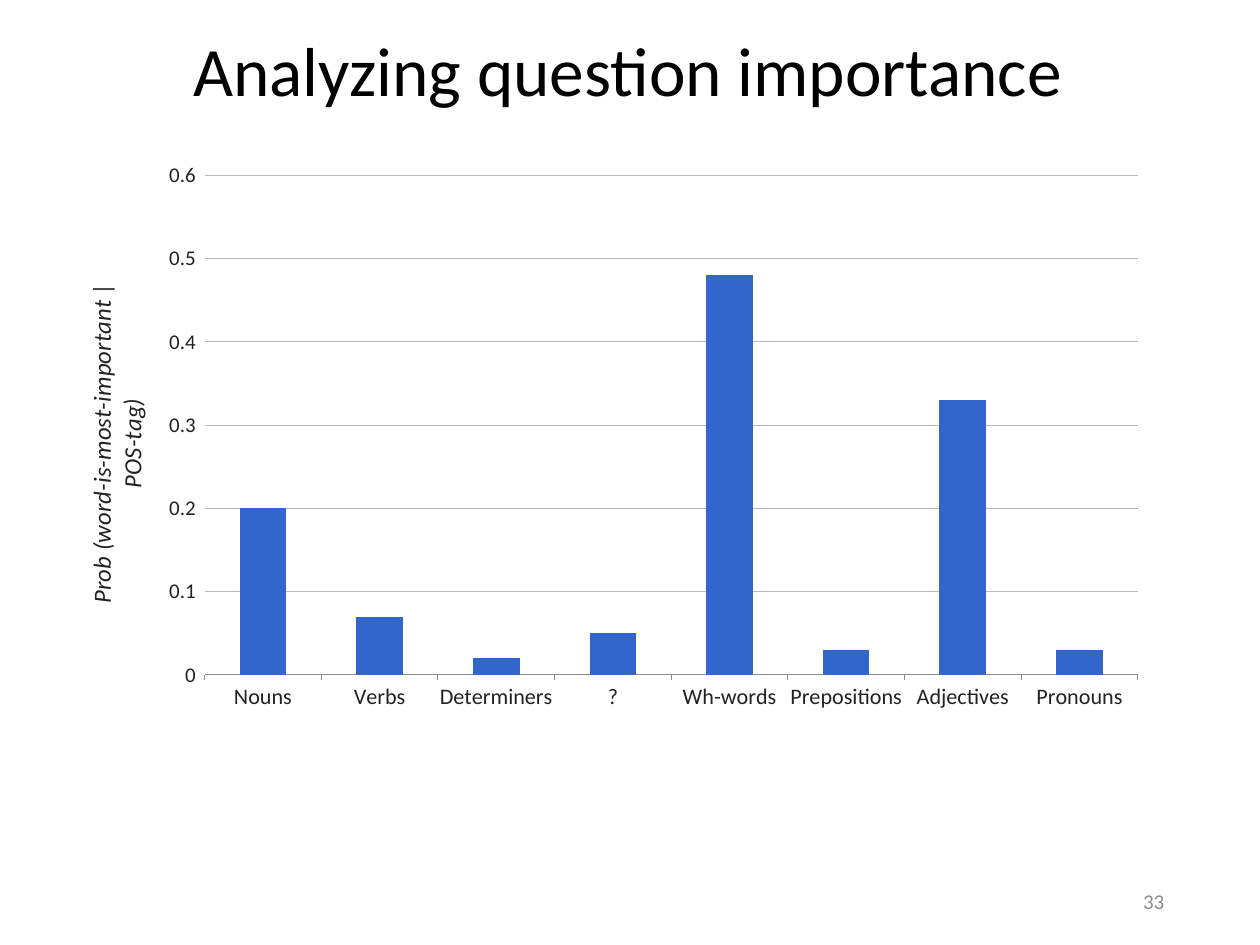
from lxml.etree import SubElement
from pptx import Presentation
from pptx.chart.data import CategoryChartData as Data
from pptx.dml.color import RGBColor as RGB
from pptx.enum.chart import XL_CHART_TYPE as Kind, XL_TICK_MARK as Tick
from pptx.enum.text import MSO_ANCHOR as Anchor, PP_ALIGN as Align
from pptx.oxml.ns import qn
from pptx.util import Pt

PX = 10320
FACE = "Calibri"
BLACK = RGB(0x00, 0x00, 0x00)
DARK = RGB(0x22, 0x22, 0x22)
GRAY = RGB(0x8C, 0x8C, 0x8C)
GRID = RGB(0xB7, 0xB7, 0xB7)
BLUE = RGB(0x33, 0x66, 0xCC)


def style(font, size, color):
    font.name = FACE
    font.size = Pt(size)
    font.color.rgb = color
    font.bold = False


def place(node, index, items):
    for old in node.findall(qn("c:layout")):
        node.remove(old)
    layout = SubElement(node, qn("c:layout"))
    node.insert(index, layout)
    manual = SubElement(layout, qn("c:manualLayout"))
    for tag, val in items:
        SubElement(manual, qn("c:" + tag)).set("val", str(val))


deck = Presentation()
deck.slide_width = 1260 * PX
deck.slide_height = 945 * PX
slide = deck.slides.add_slide(deck.slide_layouts[5])

title = slide.shapes.title
title.left, title.top, title.width, title.height = [n * PX for n in (87, 38, 1081, 72)]
frame = title.text_frame
frame.word_wrap = True
frame.vertical_anchor = Anchor.MIDDLE
para = frame.paragraphs[0]
para.alignment = Align.CENTER
para.line_spacing = 0.9
run = para.add_run()
run.text = "Analyzing question importance"
style(run.font, 56.3, BLACK)

box = slide.shapes.add_textbox(*[n * PX for n in (890, 876, 283, 51)])
frame = box.text_frame
frame.word_wrap = True
frame.vertical_anchor = Anchor.MIDDLE
para = frame.paragraphs[0]
para.alignment = Align.RIGHT
run = para.add_run()
run.text = "33"
style(run.font, 17.1, GRAY)

data = Data()
data.categories = ["Nouns", "Verbs", "Determiners", "?", "Wh-words",
                   "Prepositions", "Adjectives", "Pronouns"]
data.add_series("Series 1", [0.2, 0.07, 0.02, 0.05, 0.48, 0.03, 0.33, 0.03])
area = [n * PX for n in (38, 154, 1111, 704)]
chart = slide.shapes.add_chart(Kind.COLUMN_CLUSTERED, *area, data).chart
chart.has_legend = False
chart.has_title = False
style(chart.font, 10, BLACK)

plot = chart.plots[0]
plot.gap_width = 150
plot.vary_by_categories = False
fill = plot.series[0].format.fill
fill.solid()
fill.fore_color.rgb = BLUE

cats = chart.category_axis
cats.major_tick_mark = Tick.OUTSIDE
cats.format.line.color.rgb = GRAY
cats.format.line.width = Pt(0.75)
style(cats.tick_labels.font, 18, DARK)

vals = chart.value_axis
vals.minimum_scale, vals.maximum_scale, vals.major_unit = 0, 0.6, 0.1
vals.major_tick_mark = Tick.OUTSIDE
vals.format.line.fill.background()
grid = vals.major_gridlines.format.line
grid.color.rgb = GRID
grid.width = Pt(0.75)
style(vals.tick_labels.font, 17, DARK)

label = vals.axis_title
frame = label.text_frame
para = frame.paragraphs[0]
for part in ("Prob (word-is-most-important |", "POS-tag)"):
    if para.runs:
        para = frame.add_paragraph()
    run = para.add_run()
    run.text = part
    style(run.font, 20, DARK)
    run.font.italic = True
body = label._element.find(".//" + qn("a:bodyPr"))
body.set("rot", "-5400000")
body.set("vert", "horz")

place(label._element, 1, [("xMode", "edge"), ("yMode", "edge"),
                          ("x", 0.04), ("y", 0.18)])
place(chart._chartSpace.chart.plotArea, 0,
      [("layoutTarget", "inner"), ("xMode", "edge"), ("yMode", "edge"),
       ("x", 0.15), ("y", 0.03), ("w", 0.84), ("h", 0.71)])

deck.save("out.pptx")
